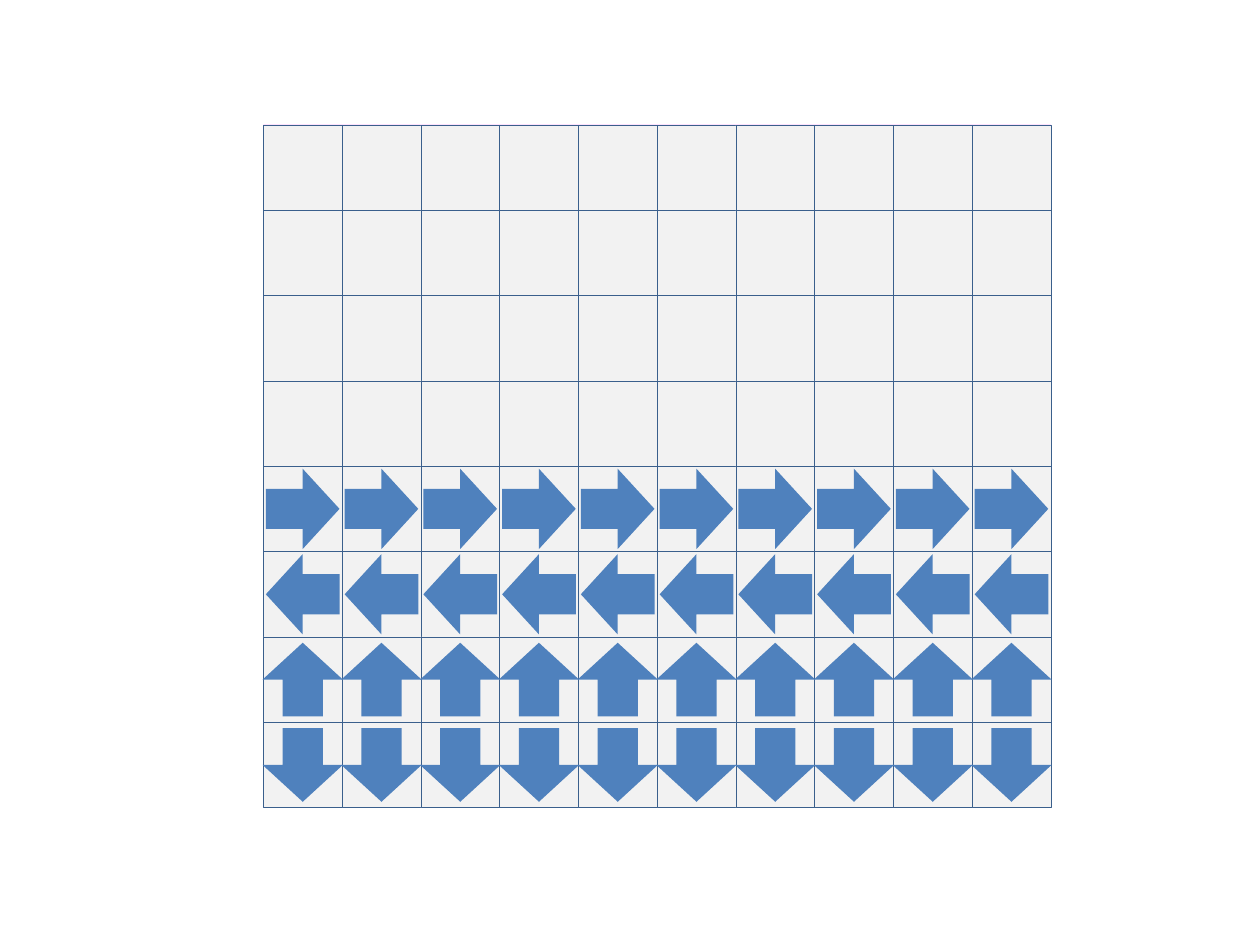
import pptx
import pptx.util
import pptx.dml.color
import pptx.enum.shapes

Inches = pptx.util.Inches
RGBColor = pptx.dml.color.RGBColor
SHAPE = pptx.enum.shapes.MSO_SHAPE

BACKING = RGBColor(0xFF, 0x00, 0xFF)
CELL = RGBColor(0xF2, 0xF2, 0xF2)
GRID_LINE = RGBColor(0x3A, 0x5F, 0x8C)
ARROW = RGBColor(0x4F, 0x81, 0xBD)

COLUMNS, ROWS = 10, 8
LEFT, TOP, WIDTH, HEIGHT = 2.09, 0.99, 6.25, 5.42
CELL_WIDTH, CELL_HEIGHT = WIDTH / COLUMNS, HEIGHT / ROWS
MARGIN = 0.02


def add_preset(shapes, preset, left, top, width, height, fill, line=None):
    shape = shapes.add_shape(preset, Inches(left), Inches(top),
                             Inches(width), Inches(height))
    shape.shadow.inherit = False
    shape.fill.solid()
    shape.fill.fore_color.rgb = fill
    if line is None:
        shape.line.fill.background()
    else:
        shape.line.color.rgb = line
        shape.line.width = pptx.util.Pt(0.25)
    return shape


presentation = pptx.Presentation()
presentation.slide_width = Inches(10)
presentation.slide_height = Inches(7.5)
slide = presentation.slides.add_slide(presentation.slide_layouts[6])

# Board backing
add_preset(slide.shapes, SHAPE.RECTANGLE, LEFT, TOP, WIDTH, HEIGHT, BACKING)

# Grid of cells
for row in range(ROWS):
    for column in range(COLUMNS):
        add_preset(slide.shapes, SHAPE.RECTANGLE,
                   LEFT + column * CELL_WIDTH, TOP + row * CELL_HEIGHT,
                   CELL_WIDTH, CELL_HEIGHT, CELL, GRID_LINE)

# One group of arrows per row: right, left, up, down
for row, rotation in enumerate([0, 180, 270, 90], start=4):
    arrows = slide.shapes.add_group_shape()
    for column in range(COLUMNS):
        arrow = add_preset(arrows.shapes, SHAPE.RIGHT_ARROW,
                           LEFT + column * CELL_WIDTH + MARGIN,
                           TOP + row * CELL_HEIGHT + MARGIN,
                           CELL_WIDTH - 2 * MARGIN, CELL_HEIGHT - 2 * MARGIN,
                           ARROW)
        arrow.rotation = rotation

presentation.save("out.pptx")
